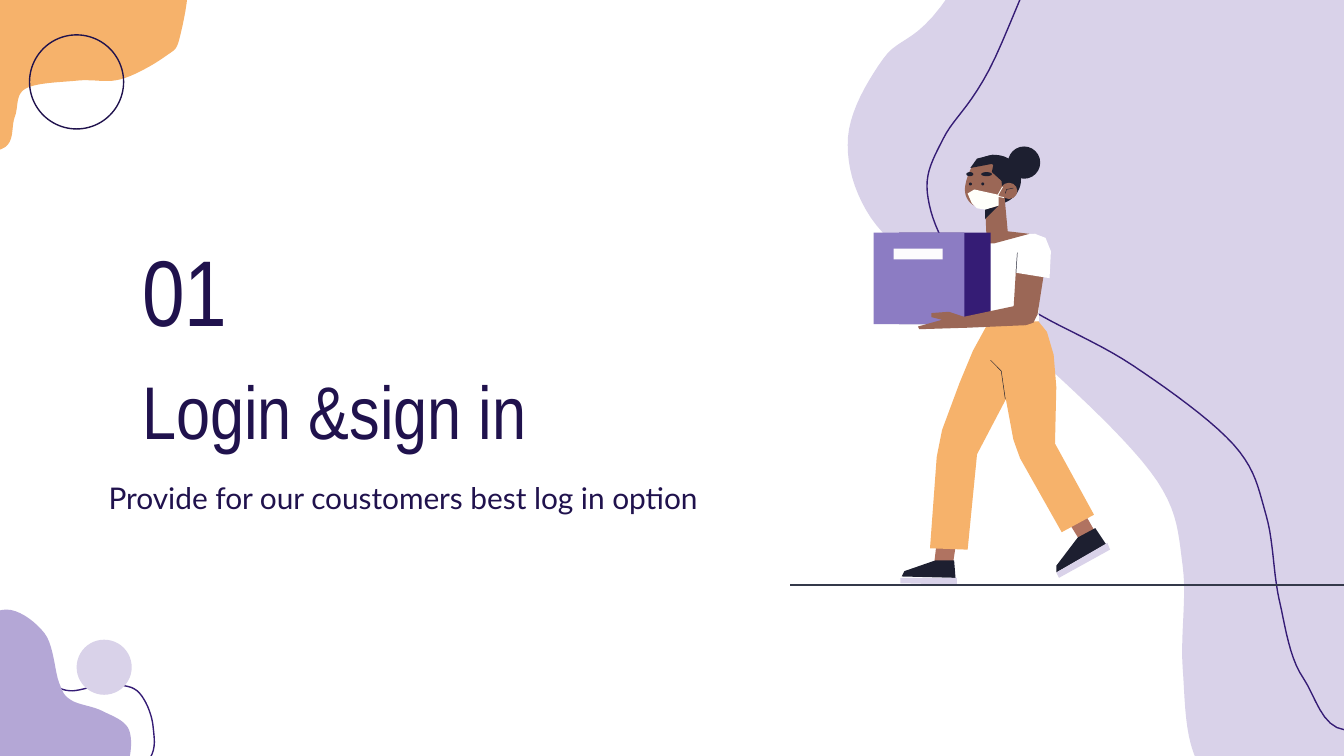
from lxml.etree import SubElement
from pptx import Presentation
from pptx.dml.color import RGBColor
from pptx.enum.shapes import MSO_CONNECTOR, MSO_SHAPE
from pptx.enum.text import MSO_ANCHOR
from pptx.oxml.ns import qn
from pptx.util import Pt

NAVY = RGBColor(0x20, 0x12, 0x4D)
INDIGO = RGBColor(0x35, 0x1C, 0x75)
VIOLET = RGBColor(0x8C, 0x7C, 0xC3)
LILAC = RGBColor(0xB4, 0xA7, 0xD6)
LAVENDER = RGBColor(0xD9, 0xD2, 0xE9)
ORANGE = RGBColor(0xF6, 0xB2, 0x6B)
INK = RGBColor(0x1D, 0x1F, 0x30)
SLATE = RGBColor(0x34, 0x39, 0x4A)
SKIN = RGBColor(0x9B, 0x67, 0x56)
ANKLE = RGBColor(0xB0, 0x73, 0x61)
MASK = RGBColor(0xFF, 0xFF, 0xFA)
LABEL = RGBColor(0xFD, 0xFC, 0xFD)
WHITE = RGBColor(0xFF, 0xFF, 0xFF)

GRID = Pt(0.72)  # the slide is 1000 grid units wide
CURVE_STEPS = 10

deck = Presentation()
deck.slide_width, deck.slide_height = Pt(720), Pt(405)
slide = deck.slides.add_slide(deck.slide_layouts[6])
shapes = slide.shapes


def paint(shape, fill=None, line=None, width=0.75):
    shape.shadow.inherit = False
    if fill is None:
        shape.fill.background()
    else:
        shape.fill.solid()
        shape.fill.fore_color.rgb = fill
    if line is None:
        shape.line.fill.background()
    else:
        shape.line.color.rgb = line
        shape.line.width = Pt(width)


def outline(*knots, smooth=False, closed=True, **colours):
    """Join grid points by straight lines, or by a closed Catmull-Rom curve."""
    points = list(knots)
    if smooth:
        points = []
        for i, after in enumerate(knots):
            a, b, c, d = knots[i - 3], knots[i - 2], knots[i - 1], after
            for step in range(CURVE_STEPS):
                t = step / CURVE_STEPS
                points.append([q + (r - p) * t / 2 + (p - 2.5 * q + 2 * r - s / 2) * t**2
                               + (1.5 * (q - r) + (s - p) / 2) * t**3
                               for p, q, r, s in zip(a, b, c, d)])
    scaled = [(x * GRID, y * GRID) for x, y in points]
    builder = shapes.build_freeform(*scaled[0])
    builder.add_line_segments(scaled[1:], close=closed)
    paint(builder.convert_to_shape(), **colours)


# Background waves and corner blobs
outline((884, -186), (788, -126), (700, 5), (657, 44), (631, 102), (648, 162), (707, 216),
        (785, 278), (861, 358), (880, 421), (880, 497), (891, 567), (939, 615), (1116, 505),
        (1110, 260), (1150, 126), (1121, -22), smooth=True, fill=LAVENDER)
outline((868, -134), (794, -71), (736, 52), (702, 103), (690, 143), (711, 192), (768, 231),
        (843, 272), (918, 331), (942, 383), (952, 447), (970, 505), (1016, 540), (1152, 423),
        (1117, 216), (1134, 97), (1090, -25), smooth=True, line=INDIGO)
outline((123, 42), (134, 27), (139, -24), (113, -60), (60, -74), (0, -14), (-62, 48),
        (-52, 110), (1, 111), (11, 87), (19, 66), (58, 60), (90, 59), smooth=True, fill=ORANGE)
outline((-8, 577), (-38, 525), (-30, 477), (9, 477), (37, 506), (52, 514), (77, 510),
        (102, 514), (114, 541), (107, 570), (52, 602), smooth=True, line=INDIGO)
outline((-25, 548), (-33, 487), (1, 454), (33, 471), (44, 508), (53, 521), (76, 529),
        (96, 543), (94, 572), (75, 593), (15, 596), smooth=True, fill=LILAC)
for left, top, size, fill, line in [(15.84, 18.72, 50.4, None, NAVY),
                                    (41.04, 342.72, 29.5, LAVENDER, None)]:
    paint(shapes.add_shape(MSO_SHAPE.OVAL, Pt(left), Pt(top), Pt(size), Pt(size)), fill, line)

# Headings
for text, left, top, width, height, anchor, font, size in [
    ("Login &sign in", 69.12, 186.48, 398.16, 66.24, MSO_ANCHOR.MIDDLE, "Arial Narrow", 40),
    ("01", 69.12, 122.4, 90, 69.84, MSO_ANCHOR.BOTTOM, "Arial Narrow", 50),
    ("Provide for our coustomers best log in option",
     51.12, 252, 365.04, 29.52, MSO_ANCHOR.MIDDLE, "Lato", 16),
]:
    frame = shapes.add_textbox(Pt(left), Pt(top), Pt(width), Pt(height)).text_frame
    frame.word_wrap = True
    frame.vertical_anchor = anchor
    frame.margin_left = frame.margin_right = frame.margin_top = frame.margin_bottom = Pt(7.2)
    paragraph = frame.paragraphs[0]
    paragraph.text = text
    paragraph.font.name = font
    paragraph.font.size = Pt(size)
    paragraph.font.color.rgb = NAVY

# Legs and shoes
outline((699, 386), (695, 420), (709, 420), (714, 387), fill=ANKLE)
outline((696, 417), (673, 425), (671, 429), (711, 430), (710, 417), fill=INK)
outline((670, 430), (670, 434), (712, 435), (712, 430), fill=LAVENDER)
outline((736, 239), (724, 261), (714, 285), (701, 320), (697, 340), (692, 408), (720, 409),
        (727, 338), (759, 277), (757, 241), fill=ORANGE)
outline((799, 368), (786, 374), (804, 403), (815, 396), fill=ANKLE)
outline((815, 393), (802, 400), (786, 421), (786, 426), (823, 405), fill=INK)
outline((824, 404), (786, 426), (788, 430), (826, 409), fill=LAVENDER)
outline((771, 237), (747, 240), (744, 273), (754, 327), (759, 341), (790, 396), (814, 383),
        (785, 330), (786, 288), (784, 264), (779, 247), fill=ORANGE)
outline((748, 297), (745, 276), (737, 268), closed=False, line=INK, width=0.25)

# Head, from the back hair to the face mask
paint(shapes.add_shape(MSO_SHAPE.OVAL, Pt(519), Pt(83), Pt(28), Pt(26.6)), INK)
outline((747, 141), (733, 152), (734, 175), (750, 174), fill=SKIN)
outline((743, 153), (733, 153), (733, 163), fill=INK)
outline((735, 119), (724, 123), (718, 140), (722, 151), (733, 155), (745, 151), (749, 135),
        smooth=True, fill=SKIN)
outline((751, 137), (748, 137), (738, 128), (740, 119), (748, 124), fill=INK)
outline((722, 125), (727, 118), (739, 115), (745, 127), (738, 122), fill=INK)
outline((745, 132), (746, 143), (749, 133), fill=INK)
for left, top, width, height, fill in [
    (519.1, 97.8, 1.6, 1.6, INK), (525.7, 97.8, 1.6, 1.6, INK),  # eyes
    (517.7, 92.2, 3.8, 2.2, INK), (525.6, 92.2, 5.8, 2.2, INK),  # eyebrows
    (536, 97.9, 9, 8.7, SKIN), (540, 78.5, 17.3, 17.3, INK),  # ear, bun
]:
    paint(shapes.add_shape(MSO_SHAPE.OVAL, Pt(left), Pt(top), Pt(width), Pt(height)), fill)
outline((754, 140), (749, 141), (748, 144), closed=False, line=INK, width=0.25)
outline((725, 141), (720, 144), (723, 151), (727, 155), (733, 156), (743, 153), (743, 145),
        fill=MASK)
outline((746, 139), (742, 146), (747, 147), closed=False, line=MASK, width=0.44)

# Shirt and neckline
outline((766, 174), (714, 180), (720, 188), (725, 215), (735, 241), (773, 239), (771, 174),
        fill=WHITE)
outline((749, 172), (738, 173), (721, 178), (728, 181), (740, 181), (766, 174), fill=SKIN)

# Carried box: side, front, label
for left, top, width, height, fill in [(481.7, 124.6, 49, 49, INDIGO),
                                       (468, 124.6, 48.6, 49, VIOLET),
                                       (478.8, 133.2, 26.2, 5.8, LABEL)]:
    paint(shapes.add_shape(MSO_SHAPE.RECTANGLE, Pt(left), Pt(top), Pt(width), Pt(height)), fill)

# Forearm, hand, upper arm and sleeve
outline((763, 226), (716, 236), (717, 244), (763, 242), (769, 240), (771, 233), fill=SKIN)
outline((706, 232), (693, 233), (693, 236), (701, 238), (683, 243), (684, 245), (717, 244),
        (721, 242), (718, 236), fill=SKIN)
outline((756, 200), (754, 232), (757, 239), (763, 242), (769, 240), (772, 234), (777, 202),
        fill=SKIN)
outline((770, 174), (761, 177), (757, 185), (756, 203), (781, 207), (782, 187), (778, 177),
        fill=WHITE)

# Sleeve crease and ground
for x1, y1, x2, y2, colour, width in [(544.3, 146.2, 545, 135.4, INK, 0.25),
                                      (743.8, 313.2, 423.4, 313.2, SLATE, 0.98)]:
    stroke = shapes.add_connector(MSO_CONNECTOR.STRAIGHT, Pt(x1), Pt(y1), Pt(x2), Pt(y2))
    stroke.line.color.rgb = colour
    stroke.line.width = Pt(width)
    SubElement(stroke._element.spPr, qn("a:effectLst"))

deck.save("out.pptx")
